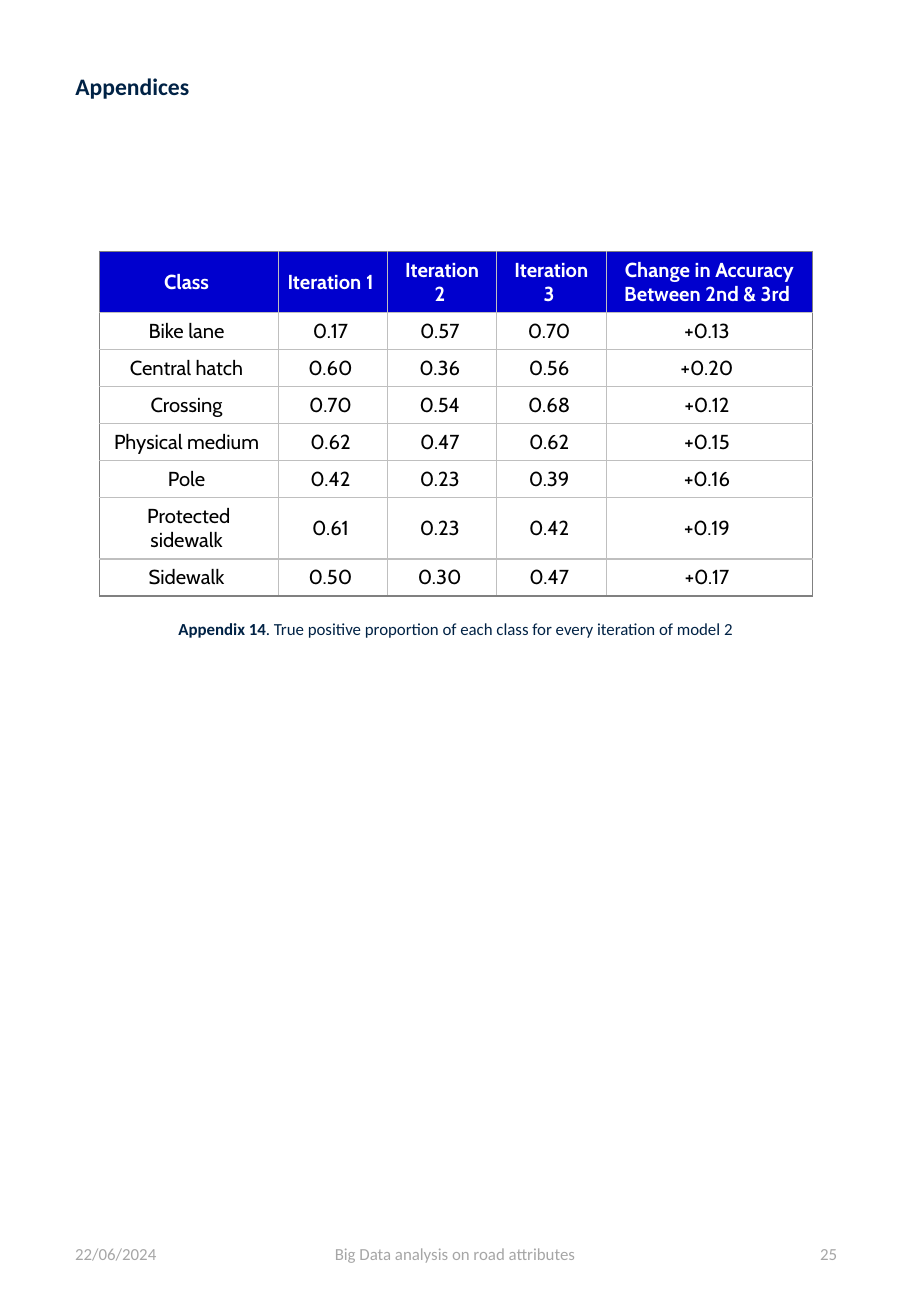
from lxml.etree import SubElement
from pptx import Presentation
from pptx.dml.color import RGBColor
from pptx.enum.text import MSO_ANCHOR, MSO_AUTO_SIZE, PP_ALIGN
from pptx.oxml import parse_xml
from pptx.oxml.ns import nsdecls, qn
from pptx.util import Pt

PX = 9144  # EMU per pixel, at 100 pixels to the inch
NO_BREAK_SPACE = chr(160)
NAVY = RGBColor(0x00, 0x22, 0x45)
BLUE = RGBColor(0x00, 0x00, 0xCE)
WHITE = RGBColor(0xFF, 0xFF, 0xFF)
BLACK = RGBColor(0x00, 0x00, 0x00)
FOOTER_GRAY = RGBColor(0xA6, 0xA6, 0xA6)
GRID_GRAY = RGBColor(0xBF, 0xBF, 0xBF)
FRAME_GRAY = RGBColor(0x80, 0x80, 0x80)

TITLE_FONT = {"name": "Calibri", "size": Pt(14), "bold": True}
SMALL_FONT = {"name": "Calibri", "size": Pt(10), "bold": False}
TABLE_FONT = {"name": "Cabin", "size": Pt(12), "bold": False}


def add_run(paragraph, text, font_format, color):
    run = paragraph.add_run()
    run.text = text
    for name, value in font_format.items():
        setattr(run.font, name, value)
    run.font.color.rgb = color


def add_text_box(slide, left, top, width, height, alignment, anchor):
    shape = slide.shapes.add_textbox(left * PX, top * PX, width * PX, height * PX)
    shape.text_frame.word_wrap = True
    shape.text_frame.vertical_anchor = anchor
    paragraph = shape.text_frame.paragraphs[0]
    paragraph.alignment = alignment
    return paragraph


presentation = Presentation()
presentation.slide_width = 750 * PX
presentation.slide_height = 1084 * PX
slide = presentation.slides.add_slide(presentation.slide_layouts[5])

# Title
title = slide.shapes.title
title_box = {"left": 52, "top": 52, "width": 647, "height": 908}
for name, value in title_box.items():
    setattr(title, name, value * PX)
title.text_frame.auto_size = MSO_AUTO_SIZE.NONE
title.text_frame.vertical_anchor = MSO_ANCHOR.TOP
paragraph = title.text_frame.paragraphs[0]
paragraph.alignment = PP_ALIGN.JUSTIFY
paragraph.line_spacing = 1.1
paragraph.space_after = Pt(8)
add_run(paragraph, "Appendices", TITLE_FONT, NAVY)

# Accuracy table
rows = [
    ("Class", "Iteration 1", "Iteration 2", "Iteration 3", "Change in Accuracy Between 2nd & 3rd"),
    ("Bike lane", "0.17", "0.57", "0.70", "+0.13"),
    ("Central hatch", "0.60", "0.36", "0.56", "+0.20"),
    ("Crossing", "0.70", "0.54", "0.68", "+0.12"),
    ("Physical medium", "0.62", "0.47", "0.62", "+0.15"),
    ("Pole", "0.42", "0.23", "0.39", "+0.16"),
    ("Protected sidewalk", "0.61", "0.23", "0.42", "+0.19"),
    ("Sidewalk", "0.50", "0.30", "0.47", "+0.17"),
]
column_widths = [147, 90, 90, 90, 170]
row_heights = [50, 30, 30, 30, 30, 30, 50, 30]
last_row, last_column = len(rows) - 1, len(column_widths) - 1
cell_format = {
    "margin_left": 7 * PX, "margin_right": 7 * PX,
    "margin_top": 5 * PX, "margin_bottom": 5 * PX,
    "vertical_anchor": MSO_ANCHOR.MIDDLE,
}
table = slide.shapes.add_table(
    len(rows), len(column_widths), 82 * PX, 207 * PX,
    sum(column_widths) * PX, sum(row_heights) * PX).table
table.horz_banding = False
for column, width in zip(table.columns, column_widths):
    column.width = width * PX

for row_index, values in enumerate(rows):
    table.rows[row_index].height = row_heights[row_index] * PX
    is_header = row_index == 0
    for column_index, value in enumerate(values):
        cell = table.cell(row_index, column_index)
        for name, setting in cell_format.items():
            setattr(cell, name, setting)
        paragraph = cell.text_frame.paragraphs[0]
        paragraph.alignment = PP_ALIGN.CENTER
        add_run(paragraph, value + NO_BREAK_SPACE, {**TABLE_FONT, "bold": is_header},
                WHITE if is_header else BLACK)

        # Cell borders: darker on the outer frame
        properties = cell._tc.get_or_add_tcPr()
        outer_sides = {
            "L": column_index == 0, "R": column_index == last_column,
            "T": row_index == 0, "B": row_index == last_row,
        }
        for side, is_outer in outer_sides.items():
            width = Pt(1) if is_outer else Pt(0.75)
            line = parse_xml(f'<a:ln{side} {nsdecls("a")} w="{width}"/>')
            fill = SubElement(line, qn("a:solidFill"))
            SubElement(fill, qn("a:srgbClr"), val=str(FRAME_GRAY if is_outer else GRID_GRAY))
            properties.append(line)
        if is_header:
            cell.fill.solid()
            cell.fill.fore_color.rgb = BLUE
        else:
            cell.fill.background()

# Caption
caption = add_text_box(slide, 82, 505, 586, 27, PP_ALIGN.CENTER, MSO_ANCHOR.TOP)
add_run(caption, "Appendix 14", {**SMALL_FONT, "bold": True}, NAVY)
add_run(caption, ". True positive proportion of each class for every iteration of model 2",
        SMALL_FONT, NAVY)

# Footer
footer_items = [
    ("22/06/2024", 52, 169, PP_ALIGN.LEFT),
    ("Big Data analysis on road attributes", 248, 253, PP_ALIGN.CENTER),
    ("25", 530, 169, PP_ALIGN.RIGHT),
]
for text, left, width, alignment in footer_items:
    paragraph = add_text_box(slide, left, 1004, width, 58, alignment, MSO_ANCHOR.MIDDLE)
    add_run(paragraph, text, SMALL_FONT, FOOTER_GRAY)

presentation.save("out.pptx")
